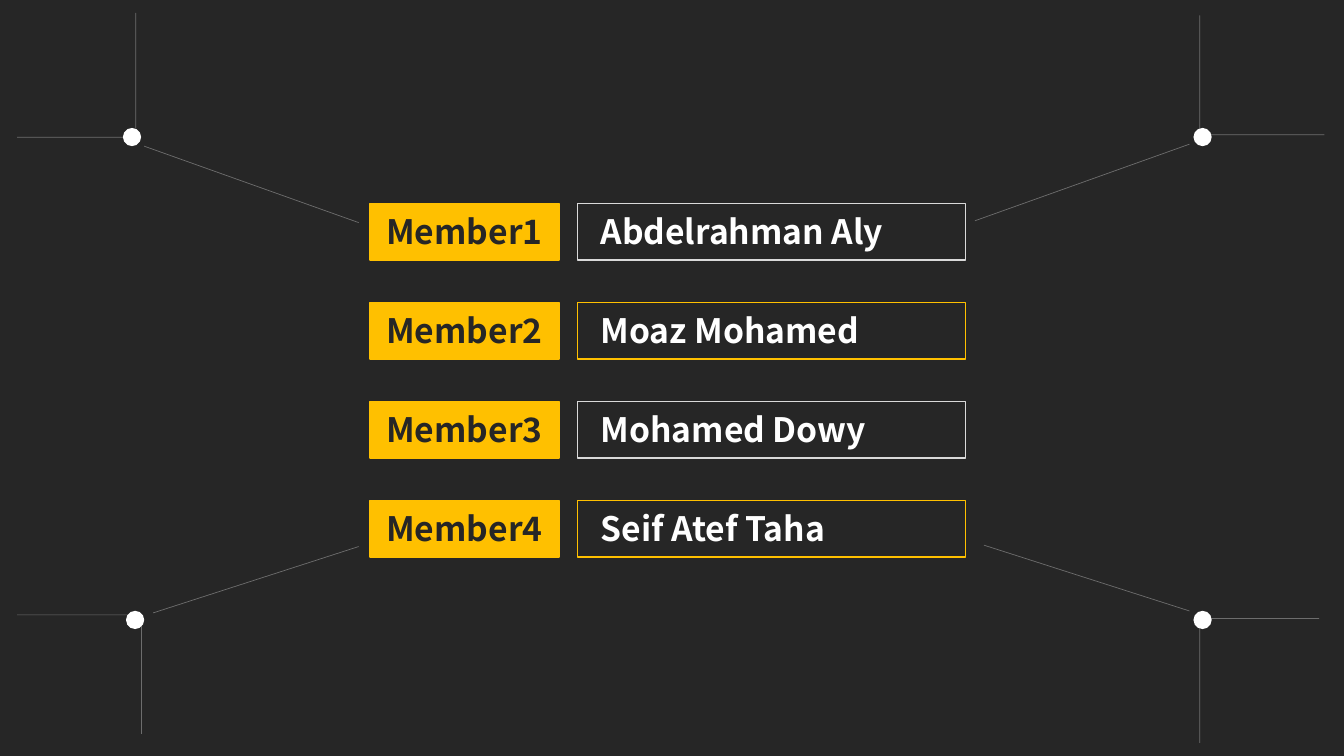
from lxml.etree import SubElement
from pptx import Presentation
from pptx.dml.color import RGBColor
from pptx.enum.shapes import MSO_CONNECTOR, MSO_SHAPE
from pptx.enum.text import MSO_AUTO_SIZE, PP_ALIGN
from pptx.oxml.ns import qn
from pptx.util import Pt

DARK = RGBColor(0x26, 0x26, 0x26)
GOLD = RGBColor(0xFF, 0xC0, 0x00)
PALE = RGBColor(0xD9, 0xD9, 0xD9)
WHITE = RGBColor(0xFF, 0xFF, 0xFF)

WIDE, HIGH = 960, 540
TOP, STEP, TALL = 145.4, 70.7, 40.4
TAG_X, TAG_W = 264.2, 135
BOX_X, BOX_W = 412.6, 277
NAME_X, NAME_W = 421.9, 257.8
DOT = 13

NAMES = ["Abdelrahman Aly", "Moaz Mohamed", "Mohamed Dowy", "Seif Atef Taha"]
DOTS = [(87.8, 91.4), (852.5, 91.4), (90, 436.3), (852.5, 436.3)]
RAYS = [
    (12.2, 98, 94.3, 98),
    (97, 91.4, 97, 9.2),
    (857, 11, 857, 93.4),
    (864, 96.2, 946, 96.2),
    (101, 524.2, 101, 442),
    (94.3, 439.2, 12.2, 439.2),
    (942.2, 441.8, 860, 441.8),
    (857, 448.6, 857, 530.6),
]
LINKS = [
    (103, 104.4, 256.2, 159),
    (109.4, 437.8, 256.2, 390.4),
    (849.6, 103, 696.4, 157.7),
    (849.6, 436.4, 702.8, 389.4),
]


class Board:
    """Draws styled shapes, text and lines on one slide."""

    def __init__(self, slide):
        self.slide = slide
        self.font = {"name": "Noto Sans CJK SC", "size": Pt(24), "bold": True}

    def shape(self, kind, x, y, w, h, fill=None, edge=None):
        item = self.slide.shapes.add_shape(kind, Pt(x), Pt(y), Pt(w), Pt(h))
        item.shadow.inherit = False
        for part, tint in ((item.fill, fill), (item.line.fill, edge)):
            if tint is None:
                part.background()
            else:
                part.solid()
                part.fore_color.rgb = tint
        if edge is not None:
            item.line.width = Pt(1)

    def text(self, words, x, y, w, tint, align=PP_ALIGN.LEFT):
        box = self.slide.shapes.add_textbox(Pt(x), Pt(y), Pt(w), Pt(36))
        frame = box.text_frame
        frame.word_wrap = True
        frame.auto_size = MSO_AUTO_SIZE.SHAPE_TO_FIT_TEXT
        para = frame.paragraphs[0]
        para.alignment = align
        run = para.add_run()
        run.text = words
        for key, value in self.font.items():
            setattr(run.font, key, value)
        run.font.color.rgb = tint

    def line(self, *ends):
        item = self.slide.shapes.add_connector(
            MSO_CONNECTOR.STRAIGHT, *(Pt(end) for end in ends))
        item.line.width = Pt(0.5)
        item.line.color.rgb = WHITE
        props = item.element.spPr
        tint = next(props.iter(qn("a:srgbClr")))
        SubElement(tint, qn("a:alpha"), val="32000")
        SubElement(props, qn("a:effectLst"))


def main():
    deck = Presentation()
    deck.slide_width, deck.slide_height = Pt(WIDE), Pt(HIGH)
    board = Board(deck.slides.add_slide(deck.slide_layouts[6]))
    rect = MSO_SHAPE.RECTANGLE
    board.shape(rect, 0, 0, WIDE, HIGH, DARK)
    for ray in RAYS:
        board.line(*ray)
    for row, name in enumerate(NAMES):
        y = TOP + row * STEP
        edge = GOLD if row % 2 else PALE
        board.text(name, NAME_X, y + 1.5, NAME_W, WHITE)
        board.shape(rect, TAG_X, y, TAG_W, TALL, GOLD, GOLD)
        board.text(f"Member{row + 1}", TAG_X, y + 1.5, TAG_W, DARK,
                   PP_ALIGN.CENTER)
        board.shape(rect, BOX_X, y, BOX_W, TALL, edge=edge)
    for x, y in DOTS:
        board.shape(MSO_SHAPE.OVAL, x, y, DOT, DOT, WHITE)
    for link in LINKS:
        board.line(*link)
    deck.save("out.pptx")


if __name__ == "__main__":
    main()
